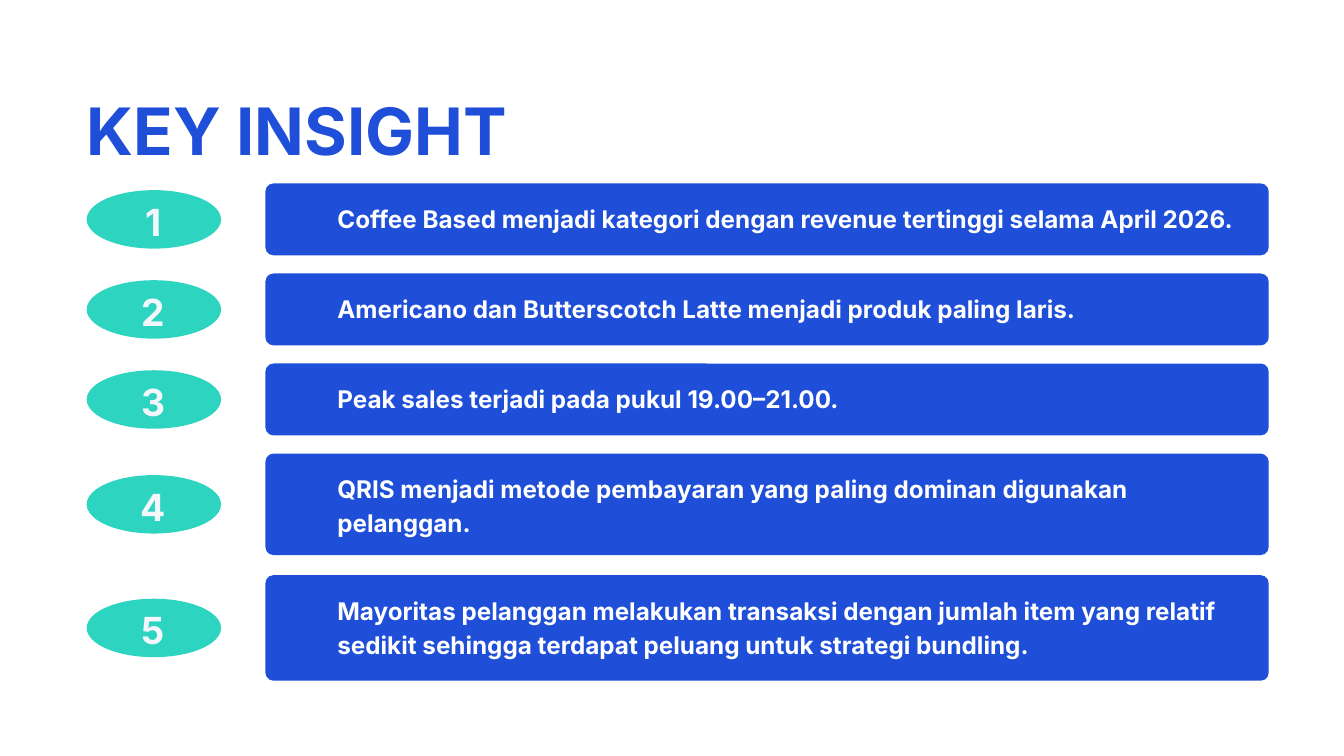
from dataclasses import dataclass

from pptx import Presentation
from pptx.dml.color import RGBColor
from pptx.enum.shapes import MSO_SHAPE
from pptx.enum.text import PP_ALIGN
from pptx.util import Inches, Pt

OVAL = MSO_SHAPE.OVAL
ROUNDED = MSO_SHAPE.ROUNDED_RECTANGLE
LEFT = PP_ALIGN.LEFT
CENTER = PP_ALIGN.CENTER


@dataclass(frozen=True)
class TextStyle:
    size: float
    leading: float
    color: RGBColor
    align: PP_ALIGN = LEFT


@dataclass(frozen=True)
class Theme:
    font = "Inter"
    blue = RGBColor(0x1F, 0x4F, 0xD8)
    teal = RGBColor(0x2D, 0xD4, 0xBF)
    white = RGBColor(0xFF, 0xFF, 0xFF)
    title = TextStyle(70, 98, blue)
    insight = TextStyle(26, 36.4, white)
    number = TextStyle(40, 56, RGBColor(0xF3, 0xF6, 0xFB), CENTER)


THEME = Theme()
MARGIN = 1.29
BADGE_WIDTH, BADGE_HEIGHT = 2, 0.87
BAR_LEFT, BAR_WIDTH, BAR_RADIUS = 3.95, 14.93, 0.12

INSIGHTS = [
    (2.73, 1.07, "Coffee Based menjadi kategori dengan revenue tertinggi selama April 2026."),
    (4.07, 1.07, "Americano dan Butterscotch Latte menjadi produk paling laris."),
    (5.41, 1.07, "Peak sales terjadi pada pukul 19.00–21.00."),
    (6.75, 1.51, "QRIS menjadi metode pembayaran yang paling dominan digunakan pelanggan."),
    (8.56, 1.57, "Mayoritas pelanggan melakukan transaksi dengan jumlah item yang relatif "
                 "sedikit sehingga terdapat peluang untuk strategi bundling."),
]


def add_text(page, left, top, width, height, text, style):
    box = page.shapes.add_textbox(Inches(left), Inches(top), Inches(width), Inches(height))
    frame = box.text_frame
    frame.word_wrap = True
    frame.margin_left = frame.margin_right = frame.margin_top = frame.margin_bottom = 0
    frame.text = text
    para = frame.paragraphs[0]
    para.alignment = style.align
    para.line_spacing = Pt(style.leading)
    span = para.runs[0]
    span.font.name = THEME.font
    span.font.size = Pt(style.size)
    span.font.bold = True
    span.font.color.rgb = style.color


def add_filled(page, kind, left, top, width, height, color):
    shape = page.shapes.add_shape(kind, Inches(left), Inches(top), Inches(width), Inches(height))
    shape.shadow.inherit = False
    shape.fill.solid()
    shape.fill.fore_color.rgb = color
    shape.line.fill.background()
    return shape


def add_badge(page, left, top, number):
    add_filled(page, OVAL, left, top, BADGE_WIDTH, BADGE_HEIGHT, THEME.teal)
    add_text(page, left + 0.16, top + 0.02, 1.67, 0.74, str(number), THEME.number)


def add_bar(page, left, top, width, height, text):
    bar = add_filled(page, ROUNDED, left, top, width, height, THEME.blue)
    bar.adjustments[0] = BAR_RADIUS / height
    add_text(page, left + 1.07, top + 0.24, 13.5, height - 0.48, text, THEME.insight)


def add_insight(page, top, height, number, text):
    add_bar(page, BAR_LEFT, top, BAR_WIDTH, height, text)
    add_badge(page, MARGIN, top + (height - BADGE_HEIGHT) / 2, number)


def main():
    deck = Presentation()
    deck.slide_width, deck.slide_height = Inches(20), Inches(11.25)
    page = deck.slides.add_slide(deck.slide_layouts[6])
    page.background.fill.solid()
    page.background.fill.fore_color.rgb = THEME.white
    add_text(page, MARGIN, 1.15, 8.24, 1.31, "KEY INSIGHT", THEME.title)
    for number, (top, height, text) in enumerate(INSIGHTS, 1):
        add_insight(page, top, height, number, text)
    deck.save("out.pptx")


if __name__ == "__main__":
    main()
